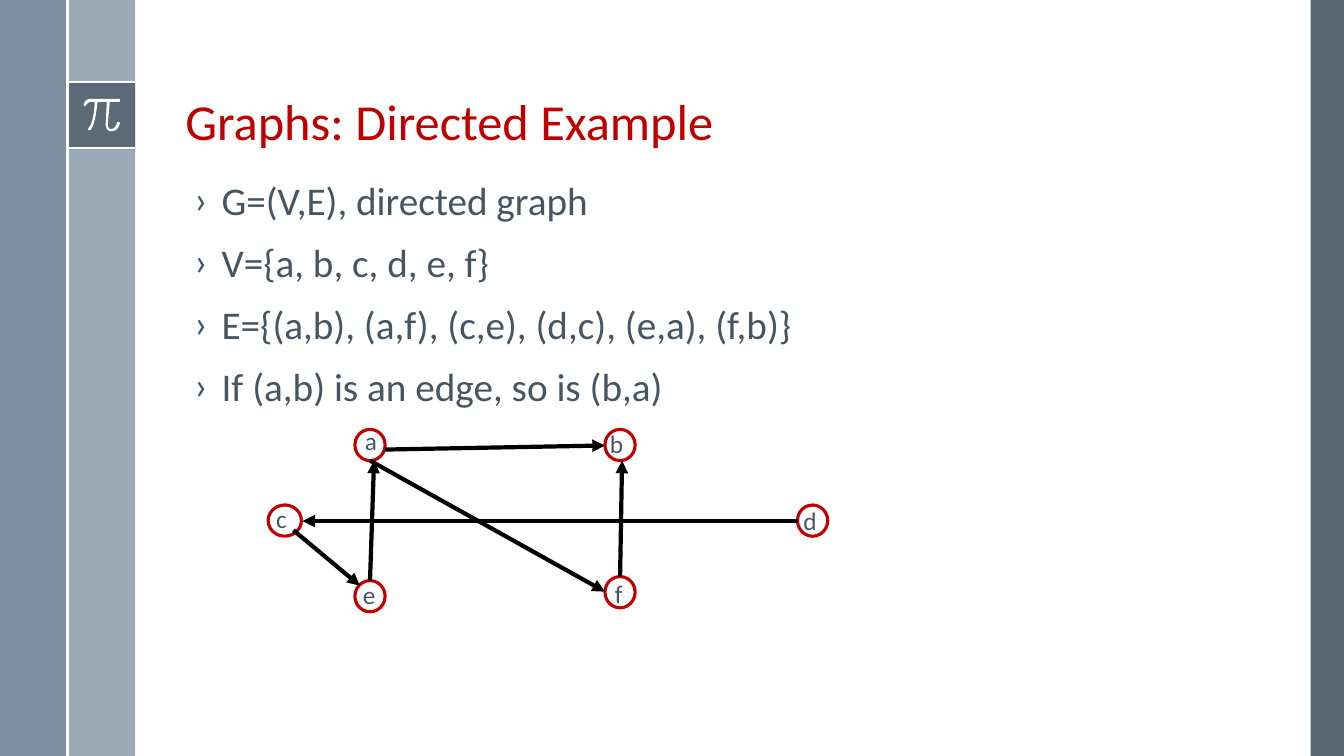
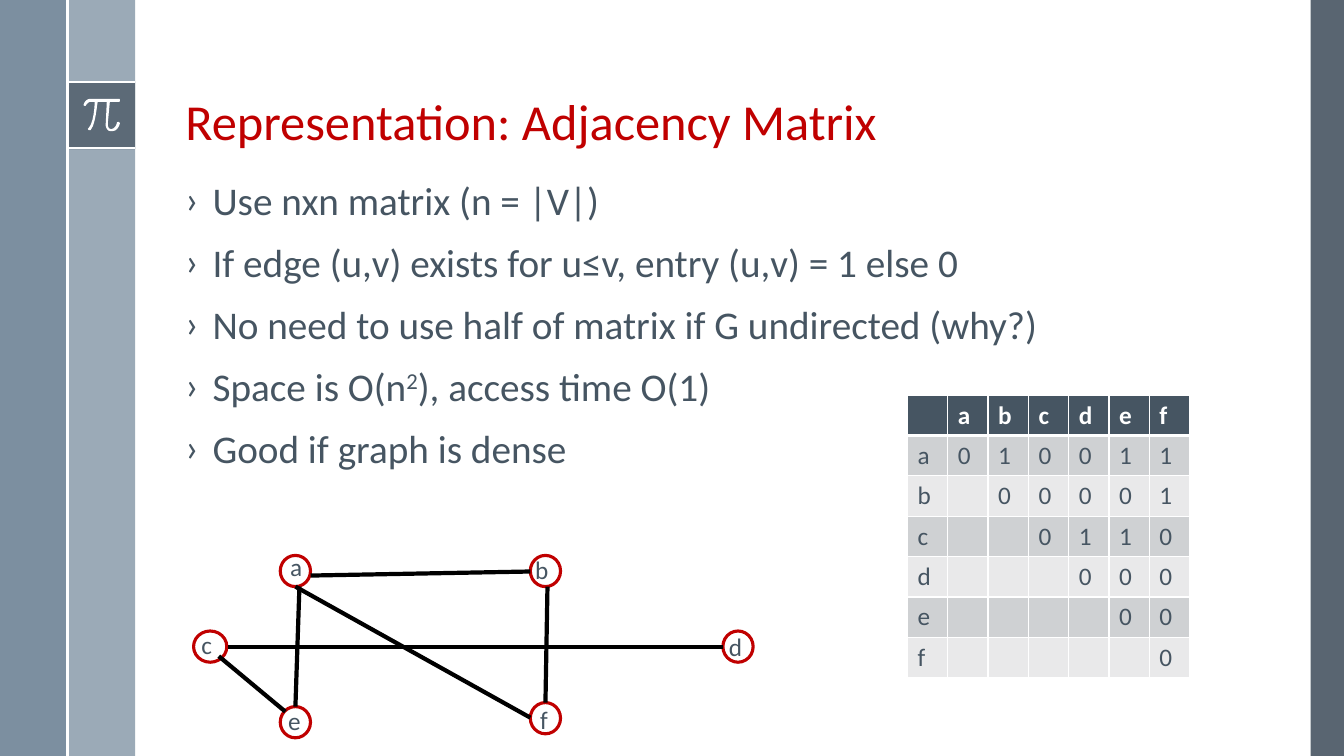
from dataclasses import dataclass

from lxml import etree
from pptx import Presentation
from pptx import util as u
from pptx.dml import color
from pptx.enum import shapes, text
from pptx.oxml import ns

PX = 9144


@dataclass(frozen=True)
class Theme:
    font: str = "Calibri"
    title: str = "C00000"
    body: str = "465562"
    white: str = "FFFFFF"
    edge: str = "000000"
    dark: str = "475562"
    pale: str = "9BAAB7"
    blue: str = "6A8093"
    bands: tuple = ("CFD1D3", "E9E9EA")
    title_size: int = 36
    body_size: int = 28
    label_size: int = 18
    rule_width: float = 1.5
    node_width: float = 2.25
    edge_width: int = 3


THEME = Theme()
SLIDE_WIDTH, SLIDE_HEIGHT = 1333, 750

PI_START = (35, 0)
PI_SEGMENTS = [
    (7, 0), (2, 0, 0, 5, 0, 6), (0, 6, 0, 7, 1, 7), (2, 7),
    (2, 7, 4, 3, 7, 3), (11, 3), (11, 7, 10, 24, 5, 29),
    (4, 30, 4, 30, 5, 31), (7, 31), (12, 25, 13, 7, 14, 3),
    (23, 3), (22, 24), (22, 24, 21, 28, 24, 31),
    (25, 32, 26, 32, 27, 32), (29, 32), (34, 32, 36, 25, 36, 24),
    (35, 23), (34, 23, 33, 23, 33, 24), (33, 24, 32, 29, 28, 30),
    (27, 30, 26, 30, 25, 29), (24, 28, 24, 25, 24, 24),
    (26, 3), (35, 3), (36, 3, 36, 2, 36, 2), (36, 1, 36, 0, 35, 0),
]

NODE_SIZE = 31
NODES = {
    "a": (86, 0, 30), "b": (334, 0, 30), "c": (0, 75, 33),
    "d": (525, 75, 30), "e": (86, 150, 30), "f": (334, 146, 30),
}
LABEL_SHIFTS = {
    "a": (0, -9), "b": (-5, -6), "c": (-2, -7),
    "d": (-4, -5), "e": (-2, -6), "f": (0, -3),
}
EDGES = {
    ("c", "e"): (25, 100, 91, 155),
    ("e", "a"): (101, 150, 105, 31),
    ("f", "b"): (349, 146, 351, 31),
    ("a", "f"): (101, 31, 334, 161),
    ("a", "b"): (116, 20, 334, 16),
    ("d", "c"): (525, 91, 34, 91),
}


def emu(*lengths):
    return [u.Emu(round(length * PX)) for length in lengths]


def rgb(value):
    return color.RGBColor.from_string(value)


def add_xml(parent, tag, **attributes):
    return etree.SubElement(parent, ns.qn(tag), attributes)


def set_font(paragraph, size, value, bold=False):
    font = paragraph.font
    font.name, font.size, font.bold = THEME.font, u.Pt(size), bold
    font.color.rgb = rgb(value)


def add_shape(slide, kind, box, fill=None, opacity=100):
    shape = slide.shapes.add_shape(kind, *emu(*box))
    shape.shadow.inherit = False
    if fill is None:
        shape.fill.background()
    else:
        shape.fill.solid()
        shape.fill.fore_color.rgb = rgb(fill)
        shape.line.fill.background()
        if opacity < 100:
            solid = shape.fill._xPr.find(ns.qn("a:solidFill"))
            add_xml(solid[0], "a:alpha", val=str(opacity * 1000))
    return shape


def add_line(slide, ends, value, width, arrow=False):
    connector = slide.shapes.add_connector(
        shapes.MSO_CONNECTOR.STRAIGHT, *emu(*ends))
    connector.line.color.rgb = rgb(value)
    connector.line.width = u.Pt(width)
    if arrow:
        add_xml(connector.line._get_or_add_ln(), "a:tailEnd", type="triangle")
    add_xml(connector._element.spPr, "a:effectLst")


def add_text_box(slide, box):
    frame = slide.shapes.add_textbox(*emu(*box)).text_frame
    frame.word_wrap = True
    return frame


def curve_points(start, segment, steps=6):
    points = [start, *zip(segment[::2], segment[1::2])]
    for step in range(1, steps + 1):
        t = step / steps
        weights = ((1 - t) ** 3, 3 * t * (1 - t) ** 2,
                   3 * t * t * (1 - t), t ** 3)
        yield tuple(sum(weight * point[axis]
                        for weight, point in zip(weights, points))
                    for axis in (0, 1))


def add_pi(slide, left, top):
    points = [PI_START]
    for segment in PI_SEGMENTS:
        if len(segment) == 2:
            points.append(segment)
        else:
            points.extend(curve_points(points[-1], segment))
    builder = slide.shapes.build_freeform(*emu(*PI_START), scale=1.0)
    builder.add_line_segments([emu(*point) for point in points[1:]], close=True)
    shape = builder.convert_to_shape(*emu(left, top))
    shape.shadow.inherit = False
    shape.fill.solid()
    shape.fill.fore_color.rgb = rgb(THEME.white)
    shape.line.fill.background()


def add_frame(slide, width, height):
    band, badge_top = 67, 81
    badge_bottom = badge_top + band - 1
    rectangle = shapes.MSO_SHAPE.RECTANGLE
    for box, fill, opacity in (
        ((width - 33, 0, 33, height), THEME.dark, 90),
        ((band, 0, band, height), THEME.pale, 100),
        ((0, 0, band, height), THEME.blue, 88),
        ((band, badge_top, band, band), THEME.dark, 75),
    ):
        add_shape(slide, rectangle, box, fill, opacity)
    for ends in (
        (band, badge_top, 2 * band, badge_top),
        (band, badge_bottom, 2 * band, badge_bottom),
        (band, 0, band, height),
    ):
        add_line(slide, ends, THEME.white, THEME.rule_width)
    add_pi(slide, band + 16, badge_top + 17)


def add_title(slide, title, box):
    frame = add_text_box(slide, box)
    frame.vertical_anchor = text.MSO_ANCHOR.BOTTOM
    paragraph = frame.paragraphs[0]
    paragraph.text = title
    paragraph.line_spacing = 0.9
    set_font(paragraph, THEME.title_size, THEME.title)


def add_bullets(slide, lines, box):
    frame = add_text_box(slide, box)
    for index, line in enumerate(lines):
        paragraph = frame.add_paragraph() if index else frame.paragraphs[0]
        paragraph.line_spacing = 0.9
        paragraph.space_before = u.Pt(14 if index else 0)
        properties = paragraph._p.get_or_add_pPr()
        indent = emu(27)[0]
        properties.set("marL", str(indent))
        properties.set("indent", str(-indent))
        add_xml(properties, "a:buFont", typeface=THEME.font)
        add_xml(properties, "a:buChar", char="›")
        for position, piece in enumerate(line.split("^")):
            run = paragraph.add_run()
            run.text = piece
            if position % 2:
                run.font._element.set("baseline", "30000")
        set_font(paragraph, THEME.body_size, THEME.body)


def add_graph(slide, left, top, directed):
    for x, y, width in NODES.values():
        node = add_shape(slide, shapes.MSO_SHAPE.OVAL,
                         (left + x, top + y, width, NODE_SIZE))
        node.line.color.rgb = rgb(THEME.title)
        node.line.width = u.Pt(THEME.node_width)
    for x1, y1, x2, y2 in EDGES.values():
        add_line(slide, (left + x1, top + y1, left + x2, top + y2),
                 THEME.edge, THEME.edge_width, directed)
    for name, (shift_x, shift_y) in LABEL_SHIFTS.items():
        x, y, _ = NODES[name]
        frame = add_text_box(
            slide, (left + x + shift_x, top + y + shift_y, 34, 40))
        frame.word_wrap = False
        paragraph = frame.paragraphs[0]
        paragraph.text = name
        set_font(paragraph, THEME.label_size, THEME.body)


def style_cell(cell, fill, top_width, bottom_width):
    properties = cell._tc.get_or_add_tcPr()
    for tag, width in (("a:lnL", 1), ("a:lnR", 1),
                       ("a:lnT", top_width), ("a:lnB", bottom_width)):
        border = add_xml(properties, tag, w=str(u.Pt(width)))
        add_xml(add_xml(border, "a:solidFill"), "a:srgbClr", val=THEME.white)
    cell.fill.solid()
    cell.fill.fore_color.rgb = rgb(fill)


def matrix_rows():
    names = list(NODES)
    yield ["", *names]
    for row, start in enumerate(names):
        yield [start] + [
            "" if column < row else
            str(int((start, end) in EDGES or (end, start) in EDGES))
            for column, end in enumerate(names)]


def add_matrix(slide, left, top, cell_size):
    rows = list(matrix_rows())
    side = cell_size * len(rows)
    table = slide.shapes.add_table(
        len(rows), len(rows), *emu(left, top, side, side)).table
    for row, values in enumerate(rows):
        header = row == 0
        fill = THEME.body if header else THEME.bands[(row - 1) % 2]
        for column, value in enumerate(values):
            cell = table.cell(row, column)
            style_cell(cell, fill, 3 if row == 1 else 1, 3 if header else 1)
            paragraph = cell.text_frame.paragraphs[0]
            if value:
                paragraph.text = value
            set_font(paragraph, THEME.label_size,
                     THEME.white if header else THEME.body, header)


def add_content_slide(presentation, title, lines, body_left):
    slide = presentation.slides.add_slide(presentation.slide_layouts[6])
    add_frame(slide, SLIDE_WIDTH, SLIDE_HEIGHT)
    add_title(slide, title, (174, 19, 1070, 136))
    add_bullets(slide, lines, (body_left, 175, 1070, 500))
    return slide


def main():
    presentation = Presentation()
    presentation.slide_width, presentation.slide_height = emu(
        SLIDE_WIDTH, SLIDE_HEIGHT)

    directed = add_content_slide(presentation, "Graphs: Directed Example", [
        "G=(V,E), directed graph",
        "V={a, b, c, d, e, f}",
        "E={(a,b), (a,f), (c,e), (d,c), (e,a), (f,b)}",
        "If (a,b) is an edge, so is (b,a)",
    ], 183)
    add_graph(directed, 266, 426, True)

    matrix = add_content_slide(presentation, "Representation: Adjacency Matrix", [
        "Use nxn matrix (n = |V|)",
        "If edge (u,v) exists for u≤v, entry (u,v) = 1 else 0",
        "No need to use half of matrix if G undirected (why?)",
        "Space is O(n^2^), access time O(1)",
        "Good if graph is dense",
    ], 174)
    add_graph(matrix, 192, 551, False)
    add_matrix(matrix, 900, 392, 40)

    presentation.save("out.pptx")


if __name__ == "__main__":
    main()
